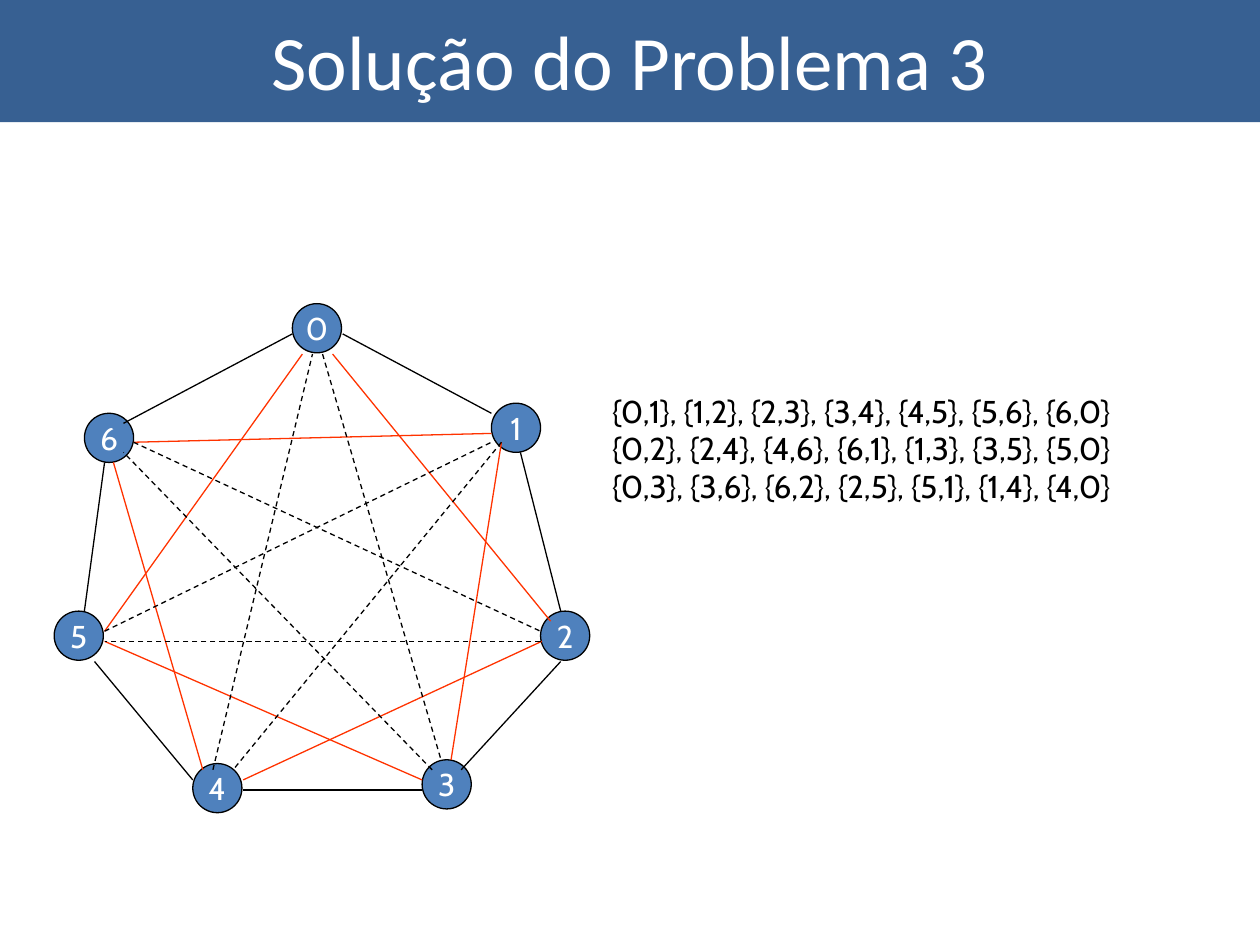
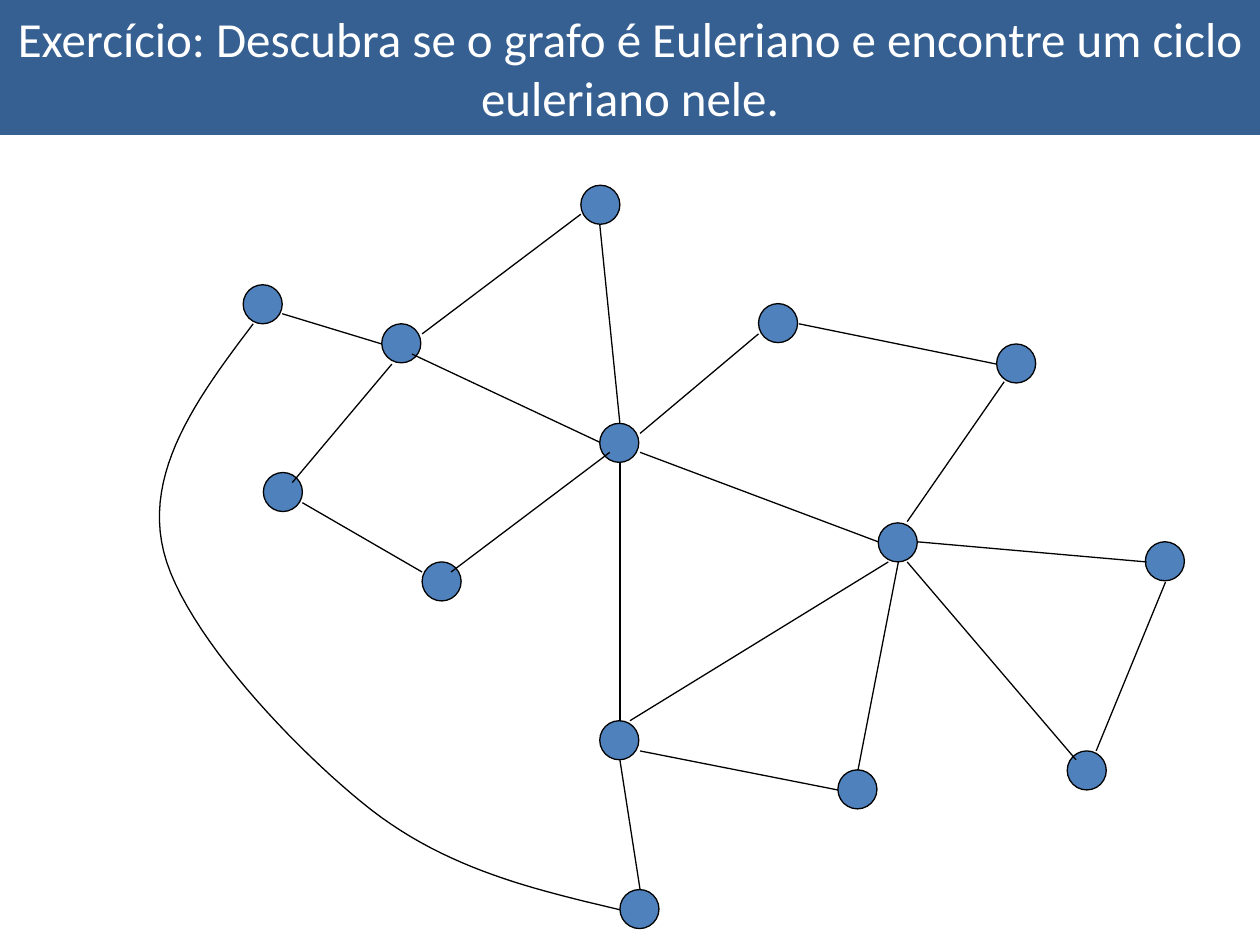
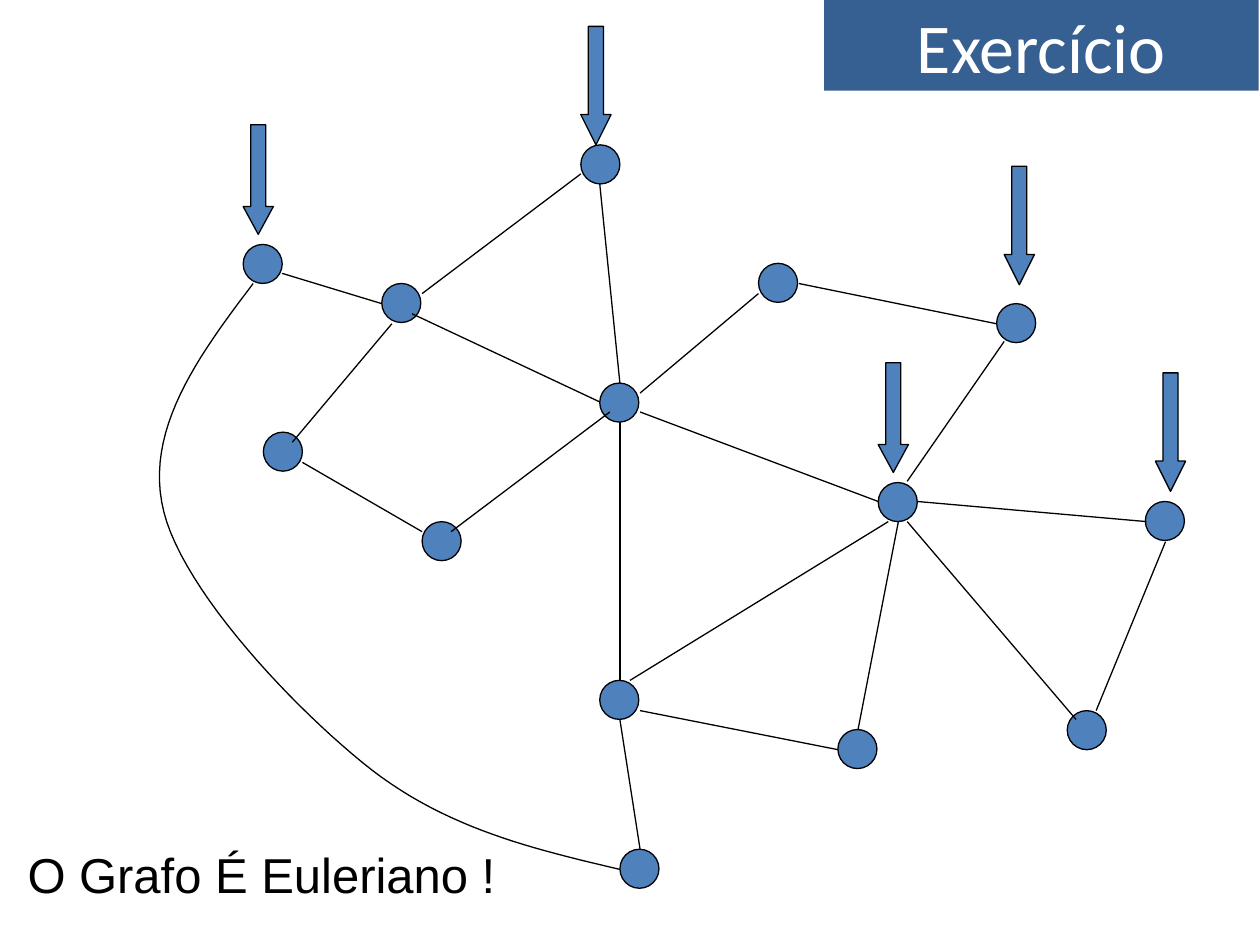
from lxml.etree import SubElement
from pptx import Presentation
from pptx.dml.color import RGBColor
from pptx.enum.dml import MSO_LINE_DASH_STYLE as Dash
from pptx.enum.shapes import MSO_CONNECTOR, MSO_SHAPE
from pptx.enum.text import MSO_ANCHOR, MSO_AUTO_SIZE, PP_ALIGN
from pptx.oxml.ns import qn
from pptx.util import Inches, Pt

COLORS = {"band": "376092", "node": "4F81BD", "ink": "000000", "light": "FFFFFF", "second": "FF3300"}

HEPTAGON_NODES = [
    ("0", 2.32, 2.41), ("6", 0.67, 3.28), ("5", 0.43, 4.85), ("4", 1.53, 6.06),
    ("3", 3.35, 6.03), ("2", 4.29, 4.85), ("1", 3.9, 3.2),
]
HEPTAGON_CYCLES = [
    ("ink", None, [
        (2.72, 2.65, 3.9, 3.28), (4.13, 3.59, 4.45, 4.85), (4.45, 5.25, 3.66, 6.11),
        (3.35, 6.27, 1.93, 6.27), (1.53, 6.19, 0.75, 5.25), (0.67, 4.85, 0.83, 3.67),
        (0.98, 3.36, 2.32, 2.65),
    ]),
    ("second", None, [
        (2.64, 2.81, 4.37, 4.93), (4.3, 5.09, 1.93, 6.19), (1.61, 6.11, 0.9, 3.67),
        (1.06, 3.51, 3.9, 3.44), (3.98, 3.51, 3.58, 6.03), (3.35, 6.19, 0.83, 5.09),
        (0.83, 5.01, 2.4, 2.81),
    ]),
    ("ink", Dash.DASH, [
        (2.56, 2.81, 3.5, 6.03), (3.43, 6.11, 0.98, 3.59), (1.06, 3.51, 4.29, 5.01),
        (4.29, 5.09, 0.83, 5.09), (0.83, 5.01, 3.9, 3.51), (3.98, 3.51, 1.85, 6.11),
        (1.69, 6.11, 2.48, 2.81),
    ]),
]
CYCLE_TEXT = [
    "{0,1}, {1,2}, {2,3}, {3,4}, {4,5}, {5,6}, {6,0}",
    "{0,2}, {2,4}, {4,6}, {6,1}, {1,3}, {3,5}, {5,0}",
    "{0,3}, {3,6}, {6,2}, {2,5}, {5,1}, {1,4}, {4,0}",
]

EXERCISE_NODES = [
    (1.93, 2.26), (3.03, 2.57), (2.09, 3.75), (3.35, 4.46), (4.76, 3.36), (4.61, 1.47),
    (6.02, 2.41), (7.91, 2.73), (6.97, 4.15), (9.09, 4.3), (8.47, 5.96), (6.65, 6.11),
    (4.76, 5.72), (4.92, 7.06),
]
EXERCISE_EDGES = [
    (2.24, 2.49, 3.03, 2.73), (3.35, 2.65, 4.61, 1.7), (4.92, 3.36, 4.76, 1.78),
    (5.08, 3.44, 6.02, 2.65), (6.34, 2.57, 7.91, 2.89), (7.2, 4.14, 7.97, 3.03),
    (7.28, 4.3, 9.1, 4.46), (8.7, 5.96, 9.25, 4.62), (7.2, 4.46, 8.54, 6.03),
    (7.13, 4.46, 6.81, 6.11), (6.65, 6.27, 5.08, 5.96), (5, 5.72, 7.05, 4.46),
    (4.92, 6.03, 5.08, 7.06), (3.11, 2.89, 2.32, 3.83), (2.4, 3.99, 3.35, 4.54),
    (3.58, 4.54, 4.84, 3.59), (4.76, 3.51, 3.27, 2.81), (5.08, 3.59, 6.97, 4.3),
    (4.92, 5.72, 4.92, 3.67),
]
CURVED_EDGE = [
    [(2.01, 2.57), (1.57, 3.15), (1.14, 3.74), (1.3, 4.38)],
    [(1.3, 4.38), (1.46, 5.02), (2.35, 5.96), (2.95, 6.43)],
    [(2.95, 6.43), (3.56, 6.9), (4.24, 7.06), (4.92, 7.22)],
]
CURVE_STEPS = 24
ANSWER_RISE = 0.32
ANSWER_ARROWS = [
    (7.97, 1.32, 0.94), (4.61, 0.21, 0.94), (9.17, 2.96, 0.94), (6.97, 2.88, 0.87), (1.93, 0.99, 0.87),
]
ARROW_WIDTH = 0.24


def color(name):
    return RGBColor.from_string(COLORS[name])


def style_font(paragraph, face, size, ink):
    paragraph.font.name = face
    paragraph.font.size = Pt(size)
    paragraph.font.color.rgb = color(ink)


def outline(line, ink="ink"):
    line.color.rgb = color(ink)
    line.width = Pt(0.75)


def add_titled_slide(deck, title, size, box):
    slide = deck.slides.add_slide(deck.slide_layouts[5])
    band = slide.shapes.title
    band.left, band.top, band.width, band.height = map(Inches, box)
    band.fill.solid()
    band.fill.fore_color.rgb = color("band")
    frame = band.text_frame
    frame.text = title
    frame.auto_size = MSO_AUTO_SIZE.NONE
    frame.vertical_anchor = MSO_ANCHOR.MIDDLE
    frame.paragraphs[0].alignment = PP_ALIGN.CENTER
    style_font(frame.paragraphs[0], "Calibri", size, "light")
    return slide


def add_filled(slide, preset, *box):
    shape = slide.shapes.add_shape(preset, *map(Inches, box))
    shape.shadow.inherit = False
    shape.fill.solid()
    shape.fill.fore_color.rgb = color("node")
    outline(shape.line)
    return shape


def add_node(slide, left, top, size, label=None):
    node = add_filled(slide, MSO_SHAPE.OVAL, left, top, size, size)
    if label:
        frame = node.text_frame
        frame.text = label
        frame.word_wrap = False
        frame.vertical_anchor = MSO_ANCHOR.MIDDLE
        frame.paragraphs[0].alignment = PP_ALIGN.CENTER
        style_font(frame.paragraphs[0], "Cabin", 18, "light")


def add_edge(slide, ends, ink="ink", dash=None):
    edge = slide.shapes.add_connector(MSO_CONNECTOR.STRAIGHT, *map(Inches, ends))
    outline(edge.line, ink)
    if dash:
        edge.line.dash_style = dash
    SubElement(edge._element.spPr, qn("a:effectLst"))


def add_text(slide, lines, face, size, box):
    frame = slide.shapes.add_textbox(*map(Inches, box)).text_frame
    frame.text = "\n".join(lines)
    frame.word_wrap = False
    frame.auto_size = MSO_AUTO_SIZE.SHAPE_TO_FIT_TEXT
    for paragraph in frame.paragraphs:
        style_font(paragraph, face, size, "ink")


def bezier_point(controls, t):
    weights = ((1 - t) ** 3, 3 * t * (1 - t) ** 2, 3 * t**2 * (1 - t), t**3)
    return tuple(sum(w * value for w, value in zip(weights, axis)) for axis in zip(*controls))


def add_curved_edge(slide, rise):
    points = [CURVED_EDGE[0][0]] + [
        bezier_point(controls, step / CURVE_STEPS)
        for controls in CURVED_EDGE
        for step in range(1, CURVE_STEPS + 1)
    ]
    points = [(Inches(x), Inches(y - rise)) for x, y in points]
    builder = slide.shapes.build_freeform(*points[0])
    builder.add_line_segments(points[1:], close=False)
    curve = builder.convert_to_shape()
    curve.shadow.inherit = False
    curve.fill.background()
    outline(curve.line)


def add_exercise_graph(slide, rise=0):
    for left, top in EXERCISE_NODES:
        add_node(slide, left, top - rise, 0.31)
    for x1, y1, x2, y2 in EXERCISE_EDGES:
        add_edge(slide, (x1, y1 - rise, x2, y2 - rise))
    add_curved_edge(slide, rise)


def main():
    deck = Presentation()
    deck.slide_width, deck.slide_height = Inches(10), Inches(7.5)

    solution = add_titled_slide(deck, "Solução do Problema 3", 44, (0, -0.03, 10, 1))
    for label, left, top in HEPTAGON_NODES:
        add_node(solution, left, top, 0.39, label)
    for ink, dash, edges in HEPTAGON_CYCLES:
        for ends in edges:
            add_edge(solution, ends, ink, dash)
    add_text(solution, CYCLE_TEXT, "Cabin", 18, (4.76, 3.06, 4.79, 1))

    exercise = add_titled_slide(
        deck,
        "Exercício: Descubra se o grafo é Euleriano e encontre um ciclo euleriano nele.",
        28,
        (0, 0, 10, 1.07),
    )
    add_exercise_graph(exercise)

    answer = add_titled_slide(deck, "Exercício", 40, (6.54, 0, 3.45, 0.72))
    add_exercise_graph(answer, ANSWER_RISE)
    for left, top, height in ANSWER_ARROWS:
        arrow = add_filled(answer, MSO_SHAPE.DOWN_ARROW, left, top, ARROW_WIDTH, height)
        arrow.adjustments[0] = 0.5
        arrow.adjustments[1] = 1 if height > 0.9 else 0.92
    add_text(answer, ["O Grafo É Euleriano !"], "Arial", 28, (0.12, 6.65, 3.91, 0.57))

    deck.save("out.pptx")


if __name__ == "__main__":
    main()
